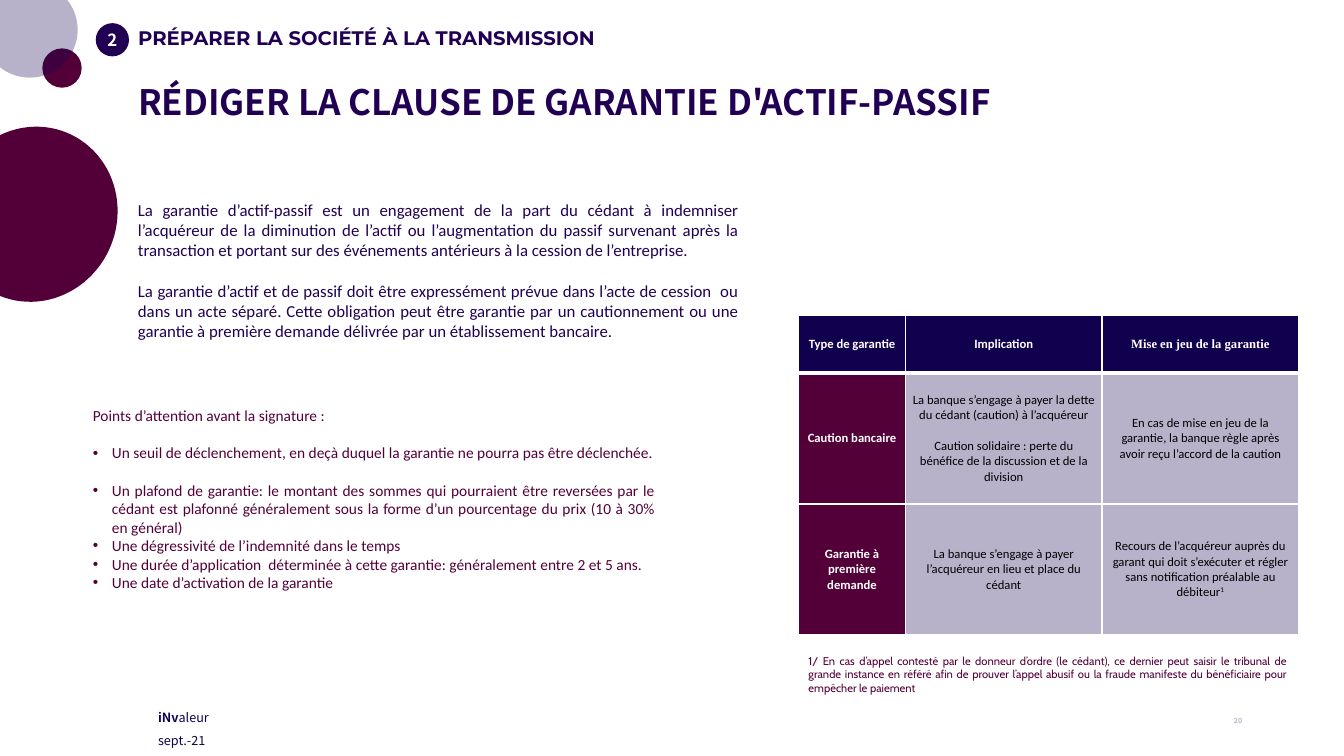
from dataclasses import dataclass

from lxml import etree
from pptx import Presentation
from pptx.dml.color import RGBColor
from pptx.enum.shapes import MSO_SHAPE
from pptx.enum.text import MSO_ANCHOR, MSO_AUTO_SIZE, PP_ALIGN
from pptx.oxml.ns import qn
from pptx.util import Inches, Pt

OVAL, CHORD = MSO_SHAPE.OVAL, MSO_SHAPE.CHORD
TOP, MIDDLE = MSO_ANCHOR.TOP, MSO_ANCHOR.MIDDLE
LEFT, CENTER = PP_ALIGN.LEFT, PP_ALIGN.CENTER
RIGHT, JUSTIFY = PP_ALIGN.RIGHT, PP_ALIGN.JUSTIFY
FIXED = MSO_AUTO_SIZE.NONE


@dataclass(frozen=True)
class Theme:
    # Colours
    ink: str = "210053"
    navy: str = "11004E"
    plum: str = "530039"
    lilac: str = "B7B2CA"
    pale: str = "B7B3CB"
    white: str = "FFFFFF"
    black: str = "000000"
    # Fonts
    main: str = "Noto Sans CJK TC"
    head: str = "Montserrat"
    text: str = "Calibri"
    serif: str = "Times New Roman"
    note: str = "Cabin"
    # Type sizes
    title: int = 25
    topic: int = 14
    body: int = 12
    item: int = 11
    small: int = 9
    foot: int = 8
    page: int = 5


class Deck:
    def __init__(self, theme):
        self.theme = theme
        self.file = Presentation()
        self.file.slide_width = Inches(13.33)
        self.file.slide_height = Inches(7.5)
        self.slide = self.file.slides.add_slide(self.file.slide_layouts[3])

    def style(self, para, font, size, color, bold=False, align=LEFT, gap=0, line=1.0):
        para.alignment = align
        para.line_spacing = line
        para.space_before, para.space_after = Pt(0), Pt(gap)
        for run in para.runs:
            run.font.name = font
            run.font.size = Pt(size)
            run.font.bold = bold
            run.font.color.rgb = RGBColor.from_string(color)

    def fill(self, frame, lines, font, size, color, anchor=TOP, **look):
        frame.text = "\n".join(lines)
        frame.word_wrap = True
        frame.auto_size = FIXED
        frame.vertical_anchor = anchor
        for para in frame.paragraphs:
            self.style(para, font, size, color, **look)
        return frame

    def place(self, shape, box):
        shape.left, shape.top, shape.width, shape.height = map(Inches, box)

    def holder(self, index, box, lines, *args, **look):
        shape = self.slide.placeholders[index]
        self.place(shape, box)
        frame = self.fill(shape.text_frame, lines, *args, **look)
        for para in frame.paragraphs:
            self.bullet(para, None)
        return frame

    def bullet(self, para, mark, indent=0.0):
        props = para._p.get_or_add_pPr()
        for tag in ("a:buNone", "a:buChar"):
            for old in props.findall(qn(tag)):
                props.remove(old)
        props.set("marL", str(Inches(indent)))
        props.set("indent", str(-Inches(indent)))
        if mark:
            etree.SubElement(props, qn("a:buChar")).set("char", mark)
        else:
            etree.SubElement(props, qn("a:buNone"))

    def text(self, box, lines, *args, **look):
        shape = self.slide.shapes.add_textbox(*map(Inches, box))
        return self.fill(shape.text_frame, lines, *args, **look)

    def shape(self, kind, box, color, alpha=None, turn=0):
        shape = self.slide.shapes.add_shape(kind, *map(Inches, box))
        shape.rotation = turn
        shape.shadow.inherit = False
        shape.fill.solid()
        shape.fill.fore_color.rgb = RGBColor.from_string(color)
        shape.line.fill.background()
        if alpha:
            tone = shape._element.spPr.find(".//" + qn("a:srgbClr"))
            etree.SubElement(tone, qn("a:alpha")).set("val", str(alpha * 1000))
        return shape

    def border(self, cell, below):
        props = cell._tc.get_or_add_tcPr()
        for spot, side in enumerate("LRTB"):
            line = etree.Element(qn("a:ln" + side))
            line.set("w", str(Pt(below if side == "B" else 1)))
            paint = etree.SubElement(line, qn("a:solidFill"))
            etree.SubElement(paint, qn("a:srgbClr")).set("val", self.theme.white)
            props.insert(spot, line)

    def table(self, box, cols, rows, data):
        t = self.theme
        grid = self.slide.shapes.add_table(len(rows), len(cols), *map(Inches, box)).table
        for col, width in zip(grid.columns, cols):
            col.width = Inches(width)
        for row, height in zip(grid.rows, rows):
            row.height = Inches(height)
        for r, line in enumerate(data):
            for c, words in enumerate(line):
                cell = grid.cell(r, c)
                head = r == 0 or c == 0
                back = t.navy if r == 0 else t.plum if c == 0 else t.lilac
                cell.fill.solid()
                cell.fill.fore_color.rgb = RGBColor.from_string(back)
                cell.vertical_anchor = MIDDLE
                cell.margin_left = cell.margin_right = Inches(0.07)
                cell.margin_top = cell.margin_bottom = 0
                cell.text_frame.text = words
                for para in cell.text_frame.paragraphs:
                    self.style(para, t.text, t.small, t.white if head else t.black,
                               bold=head, align=CENTER)
                self.border(cell, 3 if r == 0 else 1)
        return grid


def main():
    t = Theme()
    deck = Deck(t)

    # Circles on the left edge
    deck.shape(OVAL, (0.42, 0.48, 0.39, 0.39), t.plum)
    deck.shape(OVAL, (-0.18, -0.18, 0.95, 0.95), t.navy, alpha=30)
    deck.shape(CHORD, (-0.5, 1.25, 1.66, 1.75), t.plum, turn=202.2)

    # Numbered topic and title
    badge = deck.shape(OVAL, (0.95, 0.23, 0.33, 0.33), t.ink).text_frame
    badge.margin_left = badge.margin_right = badge.margin_top = badge.margin_bottom = 0
    deck.fill(badge, ["2"], t.main, t.body, t.white, MIDDLE, bold=True, align=CENTER)
    deck.holder(1, (1.27, 0.23, 7.98, 0.31), ["PRÉPARER LA SOCIÉTÉ À LA TRANSMISSION"],
                t.head, t.topic, t.ink, bold=True, line=0.9)
    deck.holder(0, (1.27, 0.67, 11.03, 0.73),
                ["RÉDIGER LA CLAUSE DE GARANTIE D'ACTIF-PASSIF"],
                t.main, t.title, t.ink, MIDDLE, bold=True, line=0.9)

    # Definition
    deck.text((1.27, 1.93, 6.16, 1.51), [
        "La garantie d’actif-passif est un engagement de la part du cédant à indemniser l’acquéreur de la diminution de l’actif ou l’augmentation du passif survenant après la transaction et portant sur des événements antérieurs à la cession de l’entreprise.",
        "La garantie d’actif et de passif doit être expressément prévue dans l’acte de cession  ou dans un acte séparé. Cette obligation peut être garantie par un cautionnement ou une garantie à première demande délivrée par un établissement bancaire.",
    ], t.text, t.body, t.ink, align=JUSTIFY, gap=14.6)

    # Points to watch
    points = deck.holder(2, (0.82, 3.98, 5.78, 1.95), [
        "Points d’attention avant la signature :",
        "Un seuil de déclenchement, en deçà duquel la garantie ne pourra pas être déclenchée.",
        "Un plafond de garantie: le montant des sommes qui pourraient être reversées par le cédant est plafonné généralement sous la forme d’un pourcentage du prix (10 à 30% en général)",
        "Une dégressivité de l’indemnité dans le temps",
        "Une durée d’application  déterminée à cette garantie: généralement entre 2 et 5 ans.",
        "Une date d’activation de la garantie",
    ], t.text, t.item, t.plum, align=JUSTIFY).paragraphs
    for para in points[1:]:
        deck.bullet(para, "•", 0.19)
    for para in points[:2]:
        para.space_after = Pt(13.4)

    # Guarantee table
    grid = deck.table((7.92, 3.13, 4.96, 3.17), (1.06, 1.95, 1.95), (0.57, 1.3, 1.3), [
        ("Type de garantie", "Implication", "Mise en jeu de la garantie"),
        ("Caution bancaire",
         "La banque s’engage à payer la dette du cédant (caution) à l’acquéreur\nCaution solidaire : perte du bénéfice de la discussion et de la division",
         "En cas de mise en jeu de la garantie, la banque règle après avoir reçu l’accord de la caution"),
        ("Garantie à première demande",
         "La banque s’engage à payer l’acquéreur en lieu et place du cédant",
         "Recours de l’acquéreur auprès du garant qui doit s’exécuter et régler sans notification préalable au débiteur"),
    ])
    grid.cell(0, 2).text_frame.paragraphs[0].runs[0].font.name = t.serif
    grid.cell(1, 1).text_frame.paragraphs[0].space_after = Pt(11)
    last = grid.cell(2, 2).text_frame.paragraphs[0]
    last.add_run().text = "1"
    deck.style(last, t.text, t.small, t.black, align=CENTER)
    last.runs[1]._r.get_or_add_rPr().set("baseline", "30000")

    # Footnote
    deck.text((7.92, 6.44, 4.95, 0.64), [
        "1/ En cas d’appel contesté par le donneur d’ordre (le cédant), ce dernier peut saisir le tribunal de grande instance en référé afin de prouver l’appel abusif ou la fraude manifeste du bénéficiaire pour empêcher le paiement",
    ], t.note, t.foot, t.plum, align=JUSTIFY)

    # Footer
    name = deck.text((1.47, 6.99, 2.46, 0.25), ["iNv"], t.main, t.small, t.navy).paragraphs[0]
    name.add_run().text = "aleur"
    deck.style(name, t.main, t.small, t.navy)
    name.runs[0].font.bold = True
    deck.text((1.47, 7.22, 1.66, 0.25), ["sept.-21"], t.main, t.small, t.navy)
    deck.text((9.42, 6.95, 3, 0.4), ["20"], t.main, t.page, t.pale, MIDDLE,
              bold=True, align=RIGHT)

    deck.file.save("out.pptx")


if __name__ == "__main__":
    main()
